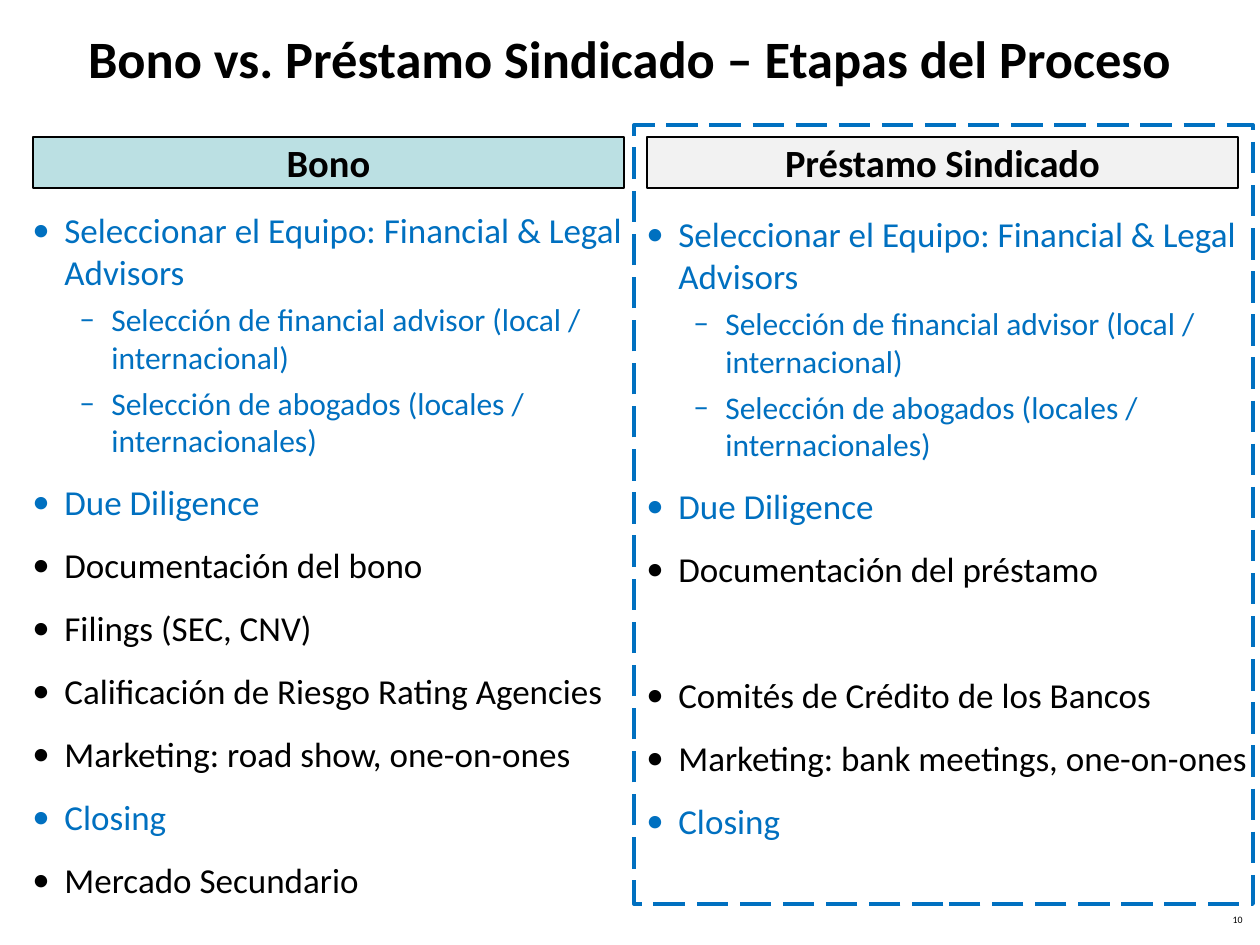
import pptx
import pptx.util
import pptx.dml.color
import pptx.enum.dml
import pptx.enum.shapes
import pptx.enum.text
import lxml.etree

RGBColor = pptx.dml.color.RGBColor
BLACK = RGBColor(0x00, 0x00, 0x00)
BLUE = RGBColor(0x00, 0x70, 0xC0)
TEAL = RGBColor(0xBB, 0xE0, 0xE3)
GREY = RGBColor(0xF2, 0xF2, 0xF2)
ALIGN = pptx.enum.text.PP_ALIGN
MIDDLE = pptx.enum.text.MSO_ANCHOR.MIDDLE
RECTANGLE = pptx.enum.shapes.MSO_SHAPE.RECTANGLE
PX = 914400 // 126


def add_span(para, text, size, color, bold=False):
    span = para.add_run()
    span.text = text
    span.font.name = "Calibri"
    span.font.size = pptx.util.Pt(size)
    span.font.bold = bold
    span.font.color.rgb = color


def set_bullet(para, mark, color, margin):
    props = para._p.get_or_add_pPr()
    props.set("marL", str(margin * PX))
    props.set("indent", str(-32 * PX))
    tint = lxml.etree.SubElement(props, pptx.oxml.ns.qn("a:buClr"))
    lxml.etree.SubElement(tint, pptx.oxml.ns.qn("a:srgbClr"), val=str(color))
    lxml.etree.SubElement(props, pptx.oxml.ns.qn("a:buFont"), typeface="Calibri")
    lxml.etree.SubElement(props, pptx.oxml.ns.qn("a:buChar"), char=mark)


deck = pptx.Presentation()
deck.slide_width = 1260 * PX
deck.slide_height = 945 * PX
page = deck.slides.add_slide(deck.slide_layouts[5])

# Title
title = page.shapes.title
title.left, title.top, title.width, title.height = 0, 0, 1260 * PX, 115 * PX
title.text_frame.auto_size = pptx.enum.text.MSO_AUTO_SIZE.NONE
title.text_frame.vertical_anchor = MIDDLE
title_para = title.text_frame.paragraphs[0]
title_para.alignment = ALIGN.CENTER
add_span(title_para, "Bono vs. Préstamo Sindicado – Etapas del Proceso", 30, BLACK, True)

# Stages: text, level, colour, space before in points
shared_stages = [
    ("Seleccionar el Equipo: Financial & Legal Advisors", 0, BLUE, 5),
    ("Selección de financial advisor (local / internacional)", 1, BLUE, 4.5),
    ("Selección de abogados (locales / internacionales)", 1, BLUE, 4.5),
    ("Due Diligence", 0, BLUE, 12),
]
bond_stages = shared_stages + [
    ("Documentación del bono", 0, BLACK, 12),
    ("Filings (SEC, CNV)", 0, BLACK, 12),
    ("Calificación de Riesgo Rating Agencies", 0, BLACK, 12),
    ("Marketing: road show, one-on-ones", 0, BLACK, 12),
    ("Closing", 0, BLUE, 12),
    ("Mercado Secundario", 0, BLACK, 12),
]
# The loan has no filings, so its committees stand one row lower
loan_stages = shared_stages + [
    ("Documentación del préstamo", 0, BLACK, 12),
    ("Comités de Crédito de los Bancos", 0, BLACK, 48),
    ("Marketing: bank meetings, one-on-ones", 0, BLACK, 12),
    ("Closing", 0, BLUE, 12),
]

# Columns: heading, fill, heading left, list left, list top, list width, stages
columns = [
    ("Bono", TEAL, 33, 20, 202, 627, bond_stages),
    ("Préstamo Sindicado", GREY, 647, 634, 206, 631, loan_stages),
]
for heading, fill, head_left, list_left, list_top, list_width, stages in columns:
    header = page.shapes.add_shape(RECTANGLE, head_left * PX, 137 * PX, 591 * PX, 51 * PX)
    header.shadow.inherit = False
    header.fill.solid()
    header.fill.fore_color.rgb = fill
    header.line.color.rgb = BLACK
    header.line.width = pptx.util.Pt(1)
    header.text_frame.word_wrap = False
    header.text_frame.vertical_anchor = MIDDLE
    header_para = header.text_frame.paragraphs[0]
    header_para.alignment = ALIGN.CENTER
    add_span(header_para, heading, 22, BLACK, True)

    box = page.shapes.add_textbox(list_left * PX, list_top * PX, list_width * PX, 658 * PX)
    box.text_frame.word_wrap = True
    for index, (text, level, color, space) in enumerate(stages):
        para = box.text_frame.add_paragraph() if index else box.text_frame.paragraphs[0]
        para.level = level
        para.space_before = pptx.util.Pt(space)
        set_bullet(para, "•–"[level], color, (32, 79)[level])
        add_span(para, text, (20, 18)[level], color)

# Dashed frame around the loan column
frame = page.shapes.add_shape(RECTANGLE, 634 * PX, 125 * PX, 619 * PX, 779 * PX)
frame.shadow.inherit = False
frame.fill.background()
frame.line.color.rgb = BLUE
frame.line.width = pptx.util.Pt(2.25)
frame.line.dash_style = pptx.enum.dml.MSO_LINE.LONG_DASH

# Page number
number = page.shapes.add_textbox(961 * PX, 910 * PX, 294 * PX, 26 * PX)
number.text_frame.word_wrap = True
number_para = number.text_frame.paragraphs[0]
number_para.alignment = ALIGN.RIGHT
number_para.line_spacing = 0.8
add_span(number_para, "10", 5.6, BLACK)

deck.save("out.pptx")
